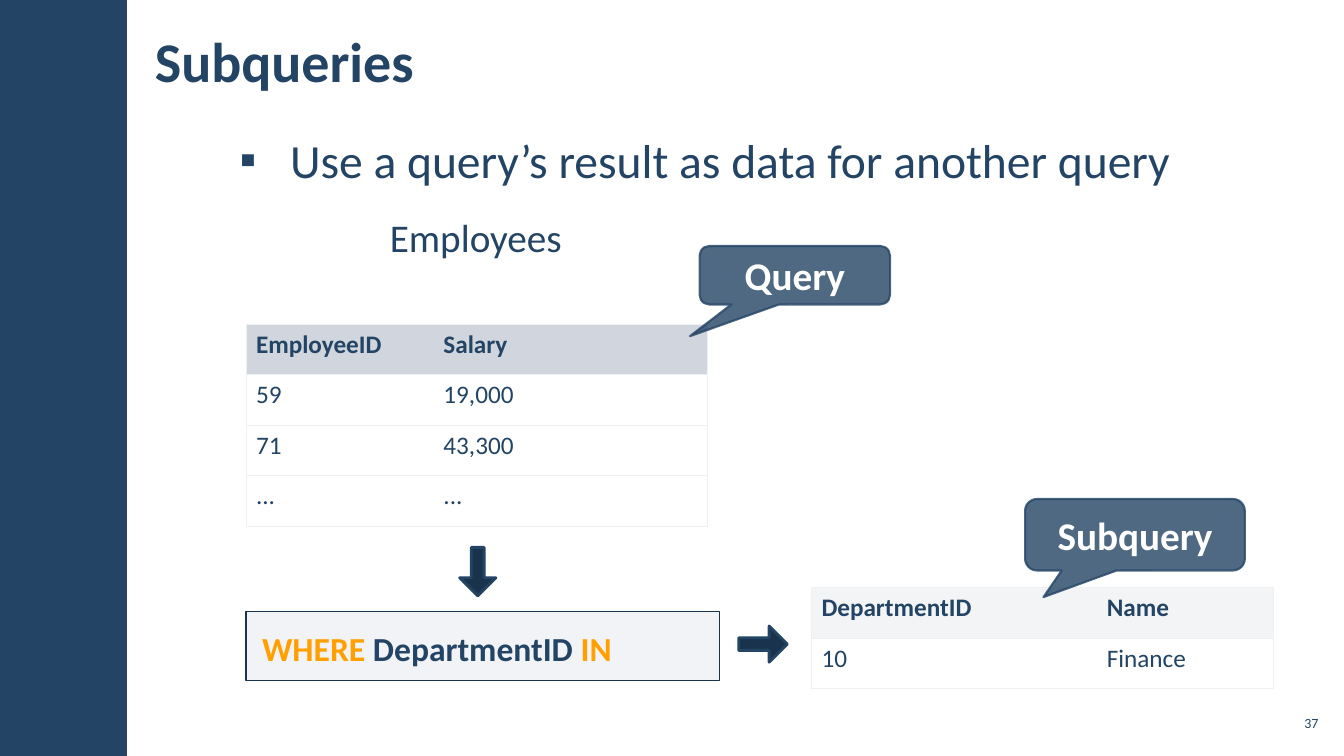
from lxml import etree
from pptx import Presentation
from pptx.dml.color import RGBColor
from pptx.enum.shapes import MSO_SHAPE
from pptx.enum.text import MSO_ANCHOR, MSO_AUTO_SIZE, PP_ALIGN
from pptx.oxml.ns import qn
from pptx.util import Pt

RECTANGLE = MSO_SHAPE.RECTANGLE
CALLOUT = MSO_SHAPE.ROUNDED_RECTANGULAR_CALLOUT
ARROW = MSO_SHAPE.UP_ARROW
MIDDLE, TOP = MSO_ANCHOR.MIDDLE, MSO_ANCHOR.TOP
LEFT, CENTER, RIGHT = PP_ALIGN.LEFT, PP_ALIGN.CENTER, PP_ALIGN.RIGHT
NO_FIT = MSO_AUTO_SIZE.NONE

FONT = "Calibri"
COLORS = {
    "navy": "234465",
    "dark": "1A334C",
    "white": "FFFFFF",
    "orange": "FFA000",
    "mist": "ADB4C3",
    "header": "D1D5DD",
    "pale": "F3F4F6",
    "border": "EFF0F2",
}
COLUMN_LEFT = 175.7
ROW_HEIGHT = 36


def rgb(name):
    return RGBColor.from_string(COLORS[name])


def format_span(span, size, color="navy", bold=False):
    span.font.name = FONT
    span.font.size = Pt(size)
    span.font.bold = bold
    span.font.color.rgb = rgb(color)


def set_frame(frame, anchor, across, down, wrap=True):
    frame.auto_size = NO_FIT
    frame.word_wrap = wrap
    frame.vertical_anchor = anchor
    frame.margin_left = frame.margin_right = Pt(across)
    frame.margin_top = frame.margin_bottom = Pt(down)


def write(frame, text, size, color="navy", bold=False, align=LEFT):
    frame.text = text
    para = frame.paragraphs[0]
    para.alignment = align
    format_span(para.runs[0], size, color, bold)
    return para


def place(item, left, top, width, height):
    item.left, item.top = Pt(left), Pt(top)
    item.width, item.height = Pt(width), Pt(height)


def set_alpha(fill_format, percent):
    color = fill_format._xPr.find(qn("a:solidFill"))[0]
    etree.SubElement(color, qn("a:alpha"), val=str(percent * 1000))


def add_bullet(para, indent):
    props = para._p.get_or_add_pPr()
    props.set("marL", str(Pt(indent)))
    props.set("indent", str(-Pt(indent)))
    etree.SubElement(props, qn("a:buFont"), typeface="Arial")
    etree.SubElement(props, qn("a:buChar"), char="▪")


def add_figure(page, kind, frame, fill, line=None, weight=1):
    figure = page.shapes.add_shape(kind, *map(Pt, frame))
    figure.shadow.inherit = False
    figure.fill.solid()
    figure.fill.fore_color.rgb = rgb(fill)
    if line:
        figure.line.color.rgb = rgb(line)
        figure.line.width = Pt(weight)
    else:
        figure.line.fill.background()
    return figure


def add_label(page, frame, text, size, anchor, margins, align=LEFT, wrap=True):
    box = page.shapes.add_textbox(*map(Pt, frame))
    set_frame(box.text_frame, anchor, *margins, wrap=wrap)
    write(box.text_frame, text, size, align=align)


def add_arrow(page, left, top, rotation):
    arrow = add_figure(page, ARROW, (left, top, 25.9, 34.6), "dark", "navy", 2)
    arrow.adjustments[0] = 0.354
    arrow.adjustments[1] = 0.5
    arrow.rotation = rotation


def add_callout(page, frame, text, tip):
    callout = add_figure(page, CALLOUT, frame, "navy", "navy", 1.5)
    for index, value in enumerate((*tip, 0.167)):
        callout.adjustments[index] = value
    set_alpha(callout.fill, 80)
    set_alpha(callout.line.fill, 80)
    set_frame(callout.text_frame, MIDDLE, 7.2, 3.6)
    write(callout.text_frame, text, 28, "white", True, CENTER)


def set_borders(cell):
    props = cell._tc.get_or_add_tcPr()
    for position, side in enumerate(("lnL", "lnR", "lnT", "lnB")):
        line = etree.Element(qn(f"a:{side}"), w=str(Pt(0.75)))
        fill = etree.SubElement(line, qn("a:solidFill"))
        etree.SubElement(fill, qn("a:srgbClr"), val=COLORS["border"])
        if side == "lnR" and cell is None:
            continue
        props.insert(position, line)


def set_cell_borders(cell, first, last):
    props = cell._tc.get_or_add_tcPr()
    visible = {"lnL": first, "lnR": last, "lnT": True, "lnB": True}
    for position, (side, shown) in enumerate(visible.items()):
        line = etree.Element(qn(f"a:{side}"), w=str(Pt(0.75)))
        if shown:
            fill = etree.SubElement(line, qn("a:solidFill"))
            etree.SubElement(fill, qn("a:srgbClr"), val=COLORS["border"])
        else:
            etree.SubElement(line, qn("a:noFill"))
        props.insert(position, line)


def add_data_table(page, left, top, widths, rows, header_fill):
    holder = page.shapes.add_table(
        len(rows), len(widths), Pt(left), Pt(top),
        Pt(sum(widths)), Pt(ROW_HEIGHT * len(rows)))
    table = holder.table
    table.first_row = table.horz_banding = False
    for column, width in zip(table.columns, widths):
        column.width = Pt(width)
    for row_index, values in enumerate(rows):
        table.rows[row_index].height = Pt(ROW_HEIGHT)
        is_header = row_index == 0
        for column_index, value in enumerate(values):
            cell = table.cell(row_index, column_index)
            write(cell.text_frame, value, 18, bold=is_header)
            cell.fill.solid()
            cell.fill.fore_color.rgb = rgb(header_fill if is_header else "white")
            set_cell_borders(cell, column_index == 0,
                             column_index == len(widths) - 1)


def add_condition(page):
    box = add_figure(page, RECTANGLE, (COLUMN_LEFT, 437, 338.4, 49),
                     "mist", "dark", 1)
    set_alpha(box.fill, 15)
    set_frame(box.text_frame, TOP, 11.5, 8.6)
    para = box.text_frame.paragraphs[0]
    para.alignment = LEFT
    para.line_spacing = 1.1
    for text, color in (("WHERE ", "orange"), ("DepartmentID ", "navy"),
                        ("IN", "orange")):
        span = para.add_run()
        span.text = text
        format_span(span, 24, color, True)


def fill_placeholders(page):
    title, body = page.shapes.title, page.placeholders[1]
    place(title, 102.2, 7.9, 661.7, 69.8)
    set_frame(title.text_frame, MIDDLE, 8.5, 2.8)
    write(title.text_frame, "Subqueries", 40, bold=True)
    place(body, 162.7, 88.6, 782, 415.4)
    set_frame(body.text_frame, TOP, 8.5, 2.8)
    para = write(body.text_frame,
                 "Use a query’s result as data for another query", 34)
    para.line_spacing = 1.05
    para.space_before = para.space_after = Pt(6)
    add_bullet(para, 36)


def main():
    deck = Presentation()
    deck.slide_width, deck.slide_height = Pt(960), Pt(540)
    page = deck.slides.add_slide(deck.slide_layouts[1])
    add_figure(page, RECTANGLE, (0, 0, 90.7, 540), "navy")
    fill_placeholders(page)
    add_label(page, (910.8, 504, 33.8, 24.5), "37", 10, MIDDLE, (2.8, 2.8), RIGHT)
    add_data_table(page, COLUMN_LEFT, 231.8, (133.9, 195.8),
                   (("EmployeeID", "Salary"), ("59", "19,000"),
                    ("71", "43,300"), ("...", "...")), "header")
    add_label(page, (271.4, 149, 138.2, 41), "Employees", 28, TOP, (7.2, 3.6),
              wrap=False)
    add_data_table(page, 579.6, 419.8, (203.8, 126),
                   (("DepartmentID", "Name"), ("10", "Finance")), "pale")
    add_arrow(page, 328.3, 391, 180)
    add_arrow(page, 532.1, 442.8, 90)
    add_callout(page, (499.7, 175.7, 136.1, 41.8), "Query", (-0.55, 1.041))
    add_callout(page, (732.2, 356.4, 157, 51.1), "Subquery", (-0.416, 0.872))
    add_condition(page)
    deck.save("out.pptx")


if __name__ == "__main__":
    main()
